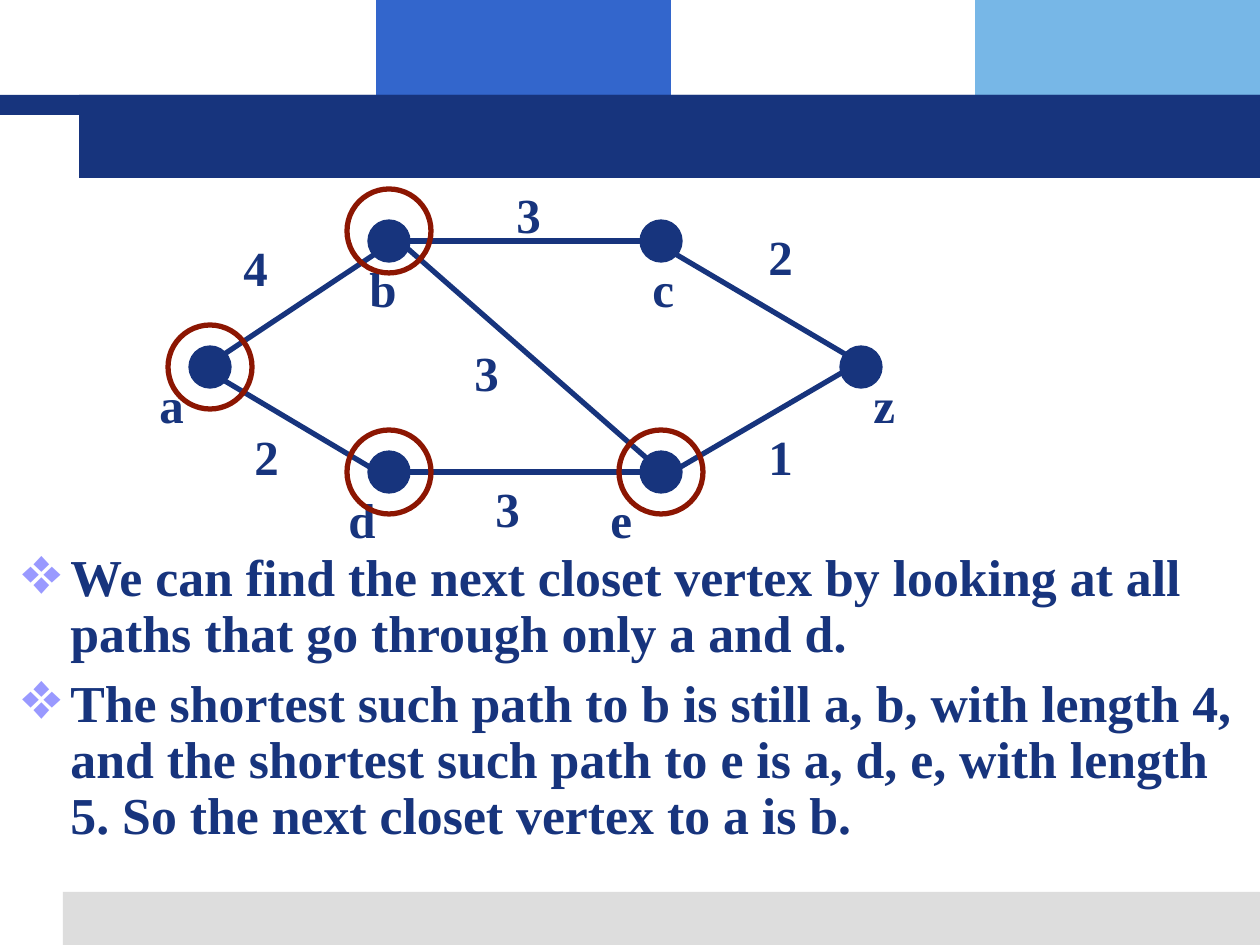
from typing import NamedTuple, Optional

from lxml.etree import SubElement
from pptx import Presentation
from pptx.dml.color import RGBColor
from pptx.enum.shapes import MSO_CONNECTOR as Link, MSO_SHAPE as Kind
from pptx.oxml.ns import qn
from pptx.util import Emu, Pt

NAVY, BLUE, SKY, GREY = "17347D", "3366CC", "77B7E7", "DDDDDD"
RED, LILAC = "8C1602", "9999FF"
SERIF = "Times New Roman"
DOT, RING = 42, 84


class Box(NamedTuple):
    x: int
    y: int
    w: int
    h: int


class Band(NamedTuple):
    box: Box
    fill: str


class Spot(NamedTuple):
    x: int
    y: int


class Edge(NamedTuple):
    start: Spot
    end: Spot


class Label(NamedTuple):
    text: str
    x: int
    y: int


BANDS = [
    Band(Box(376, 0, 295, 116), BLUE),
    Band(Box(975, 0, 285, 116), SKY),
    Band(Box(63, 892, 1197, 53), GREY),
    Band(Box(0, 95, 1260, 20), NAVY),
    Band(Box(79, 95, 1181, 83), NAVY),
]
NODES = [Spot(210, 367), Spot(389, 241), Spot(661, 241),
         Spot(861, 367), Spot(389, 472), Spot(661, 472)]
RINGS = [Spot(210, 367), Spot(389, 472), Spot(661, 472), Spot(389, 231)]
EDGES = [
    Edge(Spot(220, 357), Spot(378, 252)),
    Edge(Spot(399, 241), Spot(651, 241)),
    Edge(Spot(672, 252), Spot(850, 357)),
    Edge(Spot(220, 378), Spot(378, 472)),
    Edge(Spot(399, 472), Spot(661, 472)),
    Edge(Spot(672, 472), Spot(850, 368)),
    Edge(Spot(399, 241), Spot(651, 462)),
]
LABELS = [
    Label("a", 147, 368), Label("b", 357, 252), Label("d", 336, 483),
    Label("e", 598, 483), Label("z", 861, 368), Label("c", 640, 252),
    Label("4", 231, 231), Label("2", 242, 420), Label("3", 483, 472),
    Label("1", 756, 420), Label("3", 462, 336), Label("2", 756, 220),
    Label("3", 504, 178),
]
NOTES = [
    "We can find the next closet vertex by looking at all paths that go "
    "through only a and d.",
    "The shortest such path to b is still a, b, with length 4, and the "
    "shortest such path to e is a, d, e, with length 5. So the next closet "
    "vertex to a is b.",
]


def px(n: int) -> Emu:
    return Emu(round(n * 914400 / 126))


def hue(code: str) -> RGBColor:
    return RGBColor.from_string(code)


def draw_shape(slide, kind: Kind, box: Box, fill: Optional[str] = None,
               line: Optional[str] = None, width: float = 0.75) -> None:
    shape = slide.shapes.add_shape(kind, *map(px, box))
    shape.shadow.inherit = False
    if fill:
        shape.fill.solid()
        shape.fill.fore_color.rgb = hue(fill)
    else:
        shape.fill.background()
    if line:
        shape.line.color.rgb = hue(line)
        shape.line.width = Pt(width)
    else:
        shape.line.fill.background()


def draw_disc(slide, spot: Spot, size: int, fill: Optional[str],
              line: str, width: float) -> None:
    half = size // 2
    box = Box(spot.x - half, spot.y - half, size, size)
    draw_shape(slide, Kind.OVAL, box, fill, line, width)


def draw_edge(slide, edge: Edge) -> None:
    line = slide.shapes.add_connector(
        Link.STRAIGHT, *map(px, edge.start + edge.end))
    line.line.color.rgb = hue(NAVY)
    line.line.width = Pt(3)
    SubElement(line._element.spPr, qn("a:effectLst"))


def add_frame(slide, box: Box):
    frame = slide.shapes.add_textbox(*map(px, box)).text_frame
    frame.word_wrap = True
    return frame


def set_font(para, size: float) -> None:
    font = para.font
    font.size, font.name, font.bold = Pt(size), SERIF, True
    font.color.rgb = hue(NAVY)


def draw_label(slide, label: Label) -> None:
    frame = add_frame(slide, Box(label.x, label.y, 63, 72))
    para = frame.paragraphs[0]
    para.text = label.text
    set_font(para, 28)


def add_mark(para) -> None:
    props = para._p.get_or_add_pPr()
    props.set("marL", str(px(48)))
    props.set("indent", str(-px(48)))
    tint = SubElement(props, qn("a:buClr"))
    SubElement(tint, qn("a:srgbClr"), val=LILAC)
    SubElement(props, qn("a:buSzPct"), val="130000")
    SubElement(props, qn("a:buChar"), char="❖")


def draw_notes(slide, notes: list[str], box: Box) -> None:
    frame = add_frame(slide, box)
    for i, note in enumerate(notes):
        para = frame.add_paragraph() if i else frame.paragraphs[0]
        para.text = note
        para.line_spacing = 0.9
        para.space_before = Pt(8 if i else 0)
        add_mark(para)
        set_font(para, 29.6)


def main() -> None:
    deck = Presentation()
    deck.slide_width, deck.slide_height = px(1260), px(945)
    slide = deck.slides.add_slide(deck.slide_layouts[6])
    for band in BANDS:
        draw_shape(slide, Kind.RECTANGLE, band.box, band.fill)
    draw_notes(slide, NOTES, Box(10, 546, 1239, 388))
    for node in NODES:
        draw_disc(slide, node, DOT, NAVY, NAVY, 0.75)
    for edge in EDGES:
        draw_edge(slide, edge)
    for label in LABELS:
        draw_label(slide, label)
    for ring in RINGS:
        draw_disc(slide, ring, RING, None, RED, 3)
    deck.save("out.pptx")


if __name__ == "__main__":
    main()
